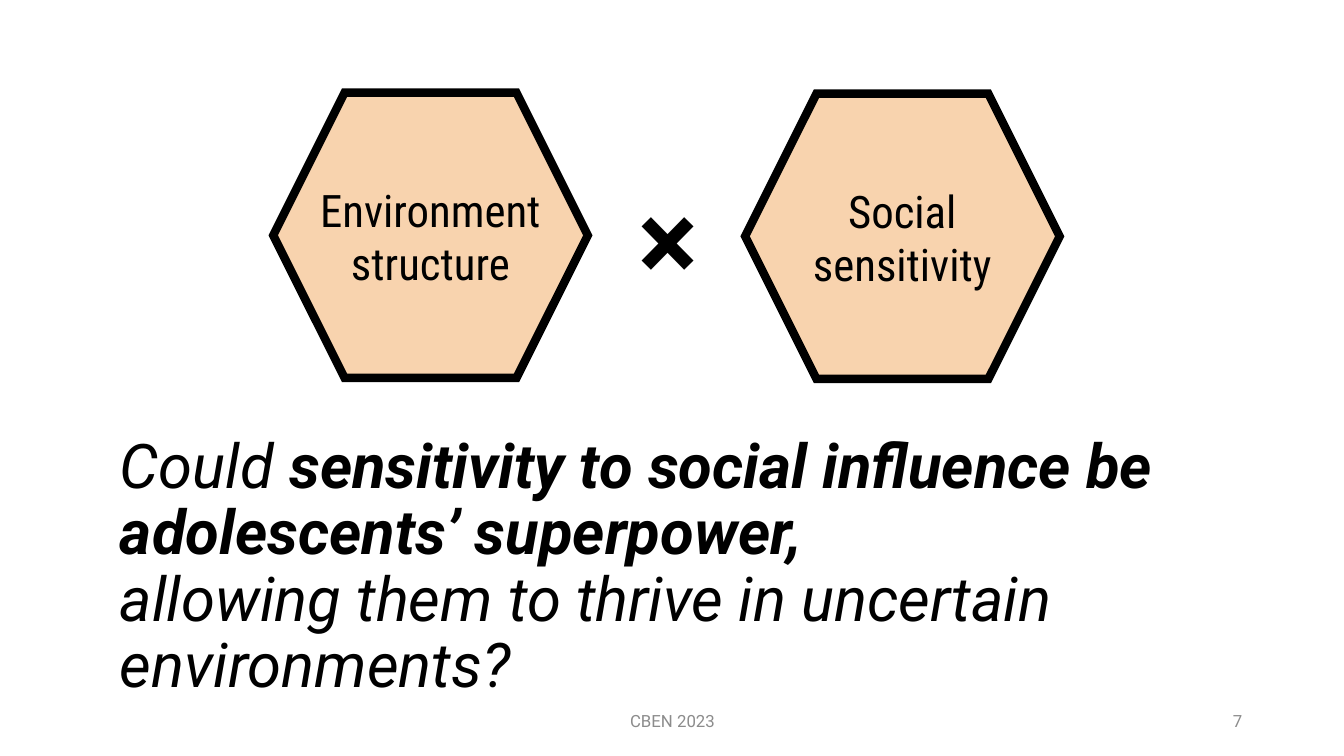
import dataclasses

import lxml.etree
import pptx
import pptx.dml.color
import pptx.enum.shapes
import pptx.enum.text
import pptx.oxml.ns
import pptx.util

Inches = pptx.util.Inches
Align = pptx.enum.text.PP_ALIGN
Anchor = pptx.enum.text.MSO_ANCHOR


@dataclasses.dataclass(frozen=True)
class Theme:
    font: str = "Roboto"
    label_font: str = "Roboto Condensed"
    ink: str = "000000"
    muted: str = "8C8C8C"
    peach: str = "F8D3AE"
    footer_size: int = 12
    label_size: int = 32
    title_size: int = 44
    sign_size: int = 80
    outline: int = 6


THEME = Theme()


def rgb(value):
    return pptx.dml.color.RGBColor.from_string(value)


def style(span, size, font=THEME.font, color=THEME.ink, bold=False, italic=False):
    span.font.name = font
    span.font.size = pptx.util.Pt(size)
    span.font.color.rgb = rgb(color)
    span.font.bold = bold
    span.font.italic = italic


def add_text(shapes, box, text, size, align=Align.LEFT, anchor=Anchor.TOP, **look):
    frame = shapes.add_textbox(*map(Inches, box)).text_frame
    frame.word_wrap = True
    frame.vertical_anchor = anchor
    para = frame.paragraphs[0]
    para.text = text
    para.alignment = align
    for span in para.runs:
        style(span, size, **look)


def add_factor(page, box, text):
    left, top, width, height = box
    group = page.shapes.add_group_shape()
    hexagon = group.shapes.add_shape(
        pptx.enum.shapes.MSO_SHAPE.HEXAGON, *map(Inches, box))
    hexagon.shadow.inherit = False
    hexagon.fill.solid()
    hexagon.fill.fore_color.rgb = rgb(THEME.peach)
    hexagon.line.color.rgb = rgb(THEME.ink)
    hexagon.line.width = pptx.util.Pt(THEME.outline)
    miter = lxml.etree.SubElement(hexagon.line._get_or_add_ln(), pptx.oxml.ns.qn("a:miter"))
    miter.set("lim", "800000")
    label_box = (left + 0.3, top + 0.84, width - 0.6, 1.17)
    add_text(group.shapes, label_box, text, THEME.label_size, Align.CENTER,
             font=THEME.label_font)


def add_interaction(page, box):
    left, top, width, height = box
    hexagon_width = 3.12
    add_factor(page, (left, top, hexagon_width, height), "Environment structure")
    add_factor(page, (left + width - hexagon_width, top + 0.01, hexagon_width, height),
               "Social\vsensitivity")
    add_text(page.shapes, (left + 3.52, top + 0.71, 0.79, 1.45), "×",
             THEME.sign_size, bold=True)


def add_question(page, box):
    title = page.shapes.title
    title.left, title.top, title.width, title.height = map(Inches, box)
    frame = title.text_frame
    frame.word_wrap = True
    frame.auto_size = pptx.enum.text.MSO_AUTO_SIZE.NONE
    frame.vertical_anchor = Anchor.MIDDLE
    para = frame.paragraphs[0]
    para.text = ("Could \vsensitivity to social influence be adolescents’ superpower,"
                 "\vallowing them to thrive in uncertain environments?")
    para._p.remove(para._p.br_lst[0])
    para.alignment = Align.LEFT
    para.line_spacing = 0.9
    for span, bold in zip(para.runs, (False, True, False)):
        style(span, THEME.title_size, bold=bold, italic=True)


def add_footer(page, box):
    left, top, width, height = box
    number_width = 3
    add_text(page.shapes, (left, top, 4.5, height), "CBEN 2023", THEME.footer_size,
             Align.CENTER, Anchor.MIDDLE, color=THEME.muted)
    add_text(page.shapes, (left + width - number_width, top, number_width, height), "7",
             THEME.footer_size, Align.RIGHT, Anchor.MIDDLE, color=THEME.muted)


def main():
    deck = pptx.Presentation()
    deck.slide_width, deck.slide_height = Inches(13.33), Inches(7.5)
    page = deck.slides.add_slide(deck.slide_layouts.get_by_name("Title Only"))
    add_interaction(page, (2.71, 0.92, 7.8, 2.83))
    add_question(page, (1.09, 4.54, 11.85, 2.19))
    add_footer(page, (4.42, 6.95, 8, 0.4))
    deck.save("out.pptx")


if __name__ == "__main__":
    main()
